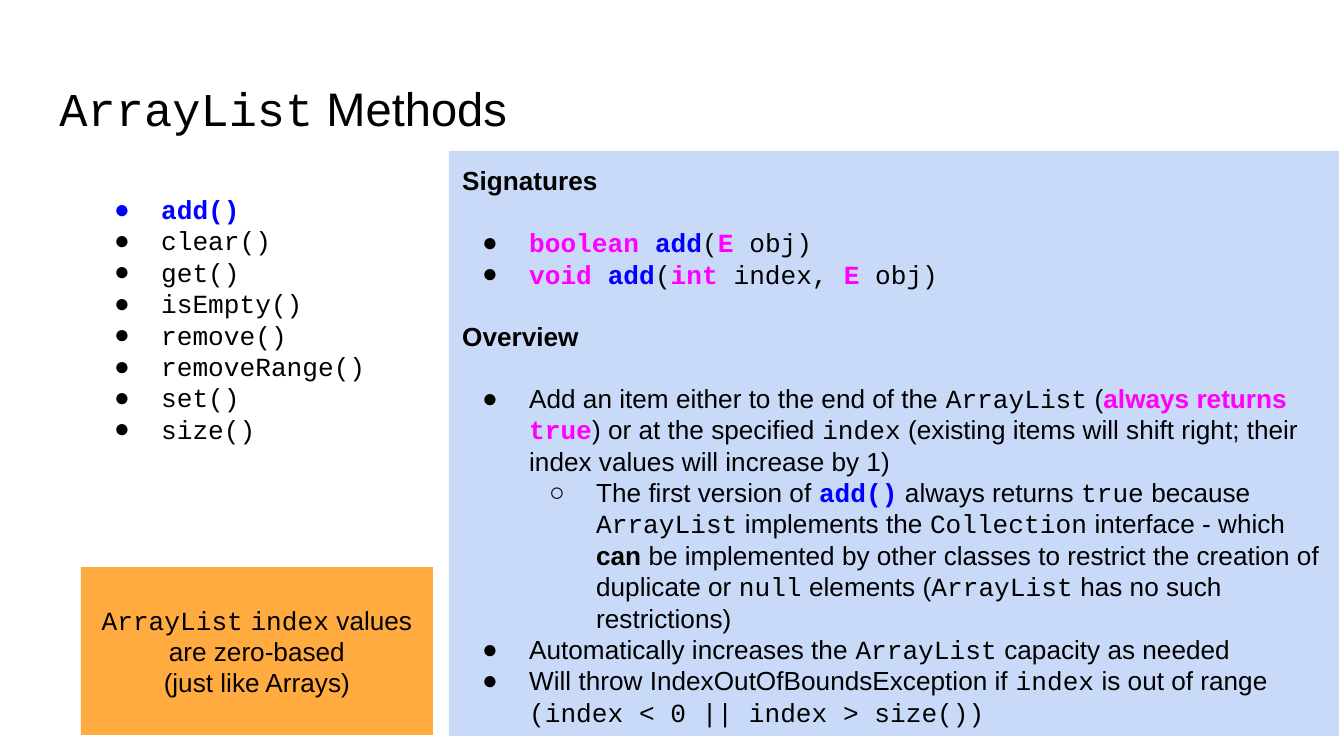
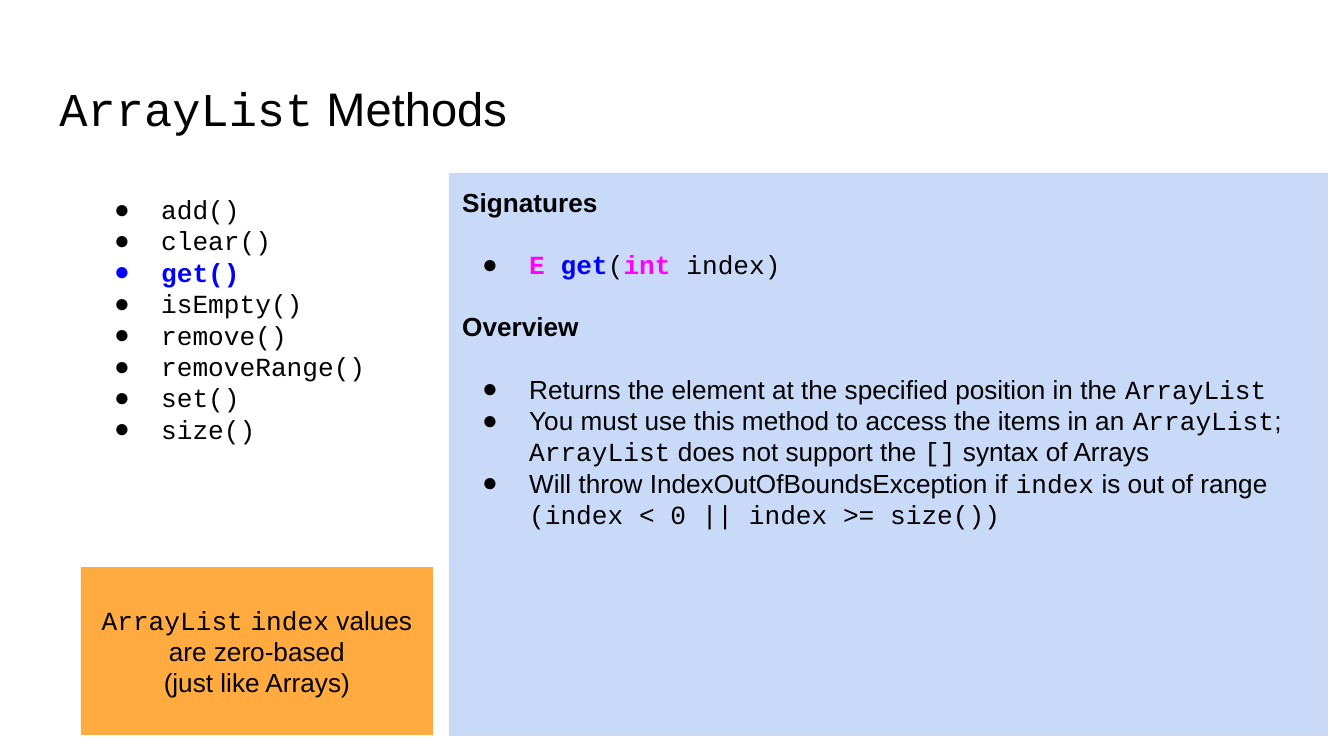
"""Build two slides on the methods of ArrayList."""
from dataclasses import dataclass, replace
from typing import Optional, Union

from lxml.etree import SubElement
from pptx import Presentation
from pptx.dml.color import RGBColor
from pptx.enum.shapes import MSO_SHAPE as Shape
from pptx.enum.text import MSO_ANCHOR as Anchor
from pptx.enum.text import MSO_AUTO_SIZE as AutoSize
from pptx.enum.text import PP_ALIGN as Align
from pptx.oxml.ns import qn
from pptx.util import Emu, Pt

PIXELS_PER_INCH = 134.4
SLIDE_SIZE = (1344, 756)
INSET = 13.44
INDENT = 67
HANGING = 47
TITLE_ONLY = 5

BLACK = RGBColor(0x00, 0x00, 0x00)
BLUE = RGBColor(0x00, 0x00, 0xFF)
MAGENTA = RGBColor(0xFF, 0x00, 0xFF)
PALE_BLUE = RGBColor(0xC9, 0xDA, 0xF8)
ORANGE = RGBColor(0xFF, 0xAB, 0x40)

SANS = "Arial"
MONO = "Courier New"
TITLE_SIZE = 25.2
BODY_SIZE = 14
HEADING_GAP = Pt(16.5)
BULLETS = ("●", "○")


@dataclass(frozen=True)
class Span:
    """A stretch of text in one format."""
    text: str
    font: str = SANS
    color: RGBColor = BLACK
    bold: bool = False


Piece = Union[str, Span]


@dataclass(frozen=True)
class Item:
    """A bulleted paragraph."""
    pieces: tuple[Piece, ...]
    level: int = 0


@dataclass(frozen=True)
class Area:
    """A rectangle in pixels."""
    left: int
    top: int
    width: int
    height: int


@dataclass(frozen=True)
class MethodPage:
    """What one slide says about one method."""
    method: str
    panel: Area
    signatures: tuple[Item, ...]
    overview: tuple[Item, ...]


TITLE_AREA = Area(46, 66, 1253, 84)
LIST_AREA = Area(81, 180, 305, 281)
CALLOUT_AREA = Area(81, 567, 352, 168)


def px(pixels: float) -> Emu:
    """Turn pixels into EMU."""
    return Emu(round(pixels * 914400 / PIXELS_PER_INCH))


def code(text: str) -> Span:
    """Plain code."""
    return Span(text, MONO)


def kind(text: str) -> Span:
    """A type name in a signature."""
    return Span(text, MONO, MAGENTA, True)


def method(text: str) -> Span:
    """The name of the method under discussion."""
    return Span(text, MONO, BLUE, True)


def item(*pieces: Piece, level: int = 0) -> Item:
    """A bulleted paragraph made of its pieces."""
    return Item(pieces, level)


ARRAY_LIST = code("ArrayList")
INDEX = code("index")
METHODS = ("add()", "clear()", "get()", "isEmpty()", "remove()",
           "removeRange()", "set()", "size()")


def range_item(condition: str) -> Item:
    """The bullet on indexes out of range."""
    return item("Will throw IndexOutOfBoundsException if ", INDEX,
                " is out of range ", code(condition))


PAGES = (
    MethodPage(
        "add()", Area(449, 151, 890, 585),
        signatures=(
            item(kind("boolean "), method("add"), code("("), kind("E"),
                 code(" obj)")),
            item(kind("void "), method("add"), code("("), kind("int"),
                 code(" index, "), kind("E"), code(" obj)")),
        ),
        overview=(
            item("Add an item either to the end of the ", ARRAY_LIST, " (",
                 Span("always returns ", color=MAGENTA, bold=True),
                 kind("true"), ") or at the specified ", INDEX,
                 " (existing items will shift right; their index values"
                 " will increase by 1)"),
            item("The first version of ", method("add()"),
                 " always returns ", code("true"), " because ", ARRAY_LIST,
                 " implements the ", code("Collection"),
                 " interface - which ", Span("can", bold=True),
                 " be implemented by other classes to restrict the creation"
                 " of duplicate or ", code("null"), " elements (",
                 ARRAY_LIST, " has no such restrictions)", level=1),
            item("Automatically increases the ", ARRAY_LIST,
                 " capacity as needed"),
            range_item("(index < 0 || index > size())"),
        ),
    ),
    MethodPage(
        "get()", Area(449, 173, 879, 563),
        signatures=(
            item(kind("E "), method("get"), code("("), kind("int"),
                 code(" index)")),
        ),
        overview=(
            item("Returns the element at the specified position in the ",
                 ARRAY_LIST),
            item("You must use this method to access the items in an ",
                 ARRAY_LIST, "; ", ARRAY_LIST, " does not support the ",
                 code("[]"), " syntax of Arrays"),
            range_item("(index < 0 || index >= size())"),
        ),
    ),
)


def add_text(para, text: str, *, font: str = SANS, size: float = BODY_SIZE,
             color: RGBColor = BLACK, bold: bool = False) -> None:
    """Add formatted text, with a line break at each newline."""
    for number, line in enumerate(text.split("\n")):
        if number:
            para.add_line_break()
        span = para.add_run()
        span.text = line
        span.font.name = font
        span.font.size = Pt(size)
        span.font.color.rgb = color
        span.font.bold = bold


def add_pieces(para, pieces: tuple[Piece, ...],
               size: float = BODY_SIZE) -> None:
    """Add spans; a bare string is plain text."""
    for piece in pieces:
        span = Span(piece) if isinstance(piece, str) else piece
        add_text(para, span.text, font=span.font, size=size,
                 color=span.color, bold=span.bold)


def next_para(frame):
    """Give the empty first paragraph of a frame, or else a new one."""
    first = frame.paragraphs[0]
    return frame.add_paragraph() if first.runs else first


def add_item(frame, entry: Item, bullet_color: RGBColor = BLACK) -> None:
    """Add a bulleted paragraph with a hanging indent."""
    para = next_para(frame)
    para.level = entry.level
    props = para._p.get_or_add_pPr()
    props.set("marL", str(px(INDENT * (entry.level + 1))))
    props.set("indent", str(-px(HANGING)))
    color = SubElement(props, qn("a:buClr"))
    SubElement(color, qn("a:srgbClr"), val=str(bullet_color))
    SubElement(props, qn("a:buFont"), typeface=SANS)
    SubElement(props, qn("a:buChar"), char=BULLETS[entry.level])
    add_pieces(para, entry.pieces)


def add_section(frame, heading: str, items: tuple[Item, ...]) -> None:
    """Add a bold heading and its bullets."""
    para = next_para(frame)
    if para is not frame.paragraphs[0] and len(frame.paragraphs) > 1:
        para.space_before = HEADING_GAP
    para.space_after = HEADING_GAP
    add_text(para, heading, bold=True)
    for entry in items:
        add_item(frame, entry)


def set_frame(box, anchor: Anchor = Anchor.TOP):
    """Set wrapping, insets and anchor, and give the text frame."""
    frame = box.text_frame
    frame.word_wrap = True
    frame.auto_size = AutoSize.NONE
    frame.vertical_anchor = anchor
    frame.margin_left = frame.margin_right = px(INSET)
    frame.margin_top = frame.margin_bottom = px(INSET)
    return frame


def bounds(area: Area) -> tuple[Emu, Emu, Emu, Emu]:
    """Give an area in EMU."""
    return px(area.left), px(area.top), px(area.width), px(area.height)


def add_panel(page, area: Area, fill: RGBColor,
              anchor: Anchor = Anchor.TOP):
    """Add a filled rectangle without outline and give its frame."""
    box = page.shapes.add_shape(Shape.RECTANGLE, *bounds(area))
    box.shadow.inherit = False
    box.fill.solid()
    box.fill.fore_color.rgb = fill
    box.line.fill.background()
    frame = set_frame(box, anchor)
    frame.paragraphs[0].alignment = Align.LEFT
    return frame


def add_title(page) -> None:
    """Place and fill the title."""
    title = page.shapes.title
    title.left, title.top, title.width, title.height = bounds(TITLE_AREA)
    para = set_frame(title).paragraphs[0]
    para.alignment = Align.LEFT
    add_pieces(para, (ARRAY_LIST, " Methods"), TITLE_SIZE)


def add_method_list(page, current: Optional[str]) -> None:
    """List the methods, with the current one highlighted."""
    frame = set_frame(page.shapes.add_textbox(*bounds(LIST_AREA)))
    for name in METHODS:
        span = method(name) if name == current else code(name)
        add_item(frame, item(span), span.color)


def add_callout(page) -> None:
    """Add the reminder on zero-based indexes."""
    para = add_panel(page, CALLOUT_AREA, ORANGE, Anchor.MIDDLE).paragraphs[0]
    para.alignment = Align.CENTER
    add_pieces(para, (ARRAY_LIST, " ", INDEX,
                      " values are zero-based\n(just like Arrays)"))


def add_page(deck, content: MethodPage) -> None:
    """Build the slide of one method."""
    page = deck.slides.add_slide(deck.slide_layouts[TITLE_ONLY])
    add_title(page)
    panel = add_panel(page, content.panel, PALE_BLUE)
    add_section(panel, "Signatures", content.signatures)
    add_section(panel, "Overview", content.overview)
    add_method_list(page, content.method)
    add_callout(page)


def main() -> None:
    """Build and save the deck."""
    deck = Presentation()
    deck.slide_width, deck.slide_height = map(px, SLIDE_SIZE)
    for content in PAGES:
        add_page(deck, content)
    deck.save("out.pptx")


main()
